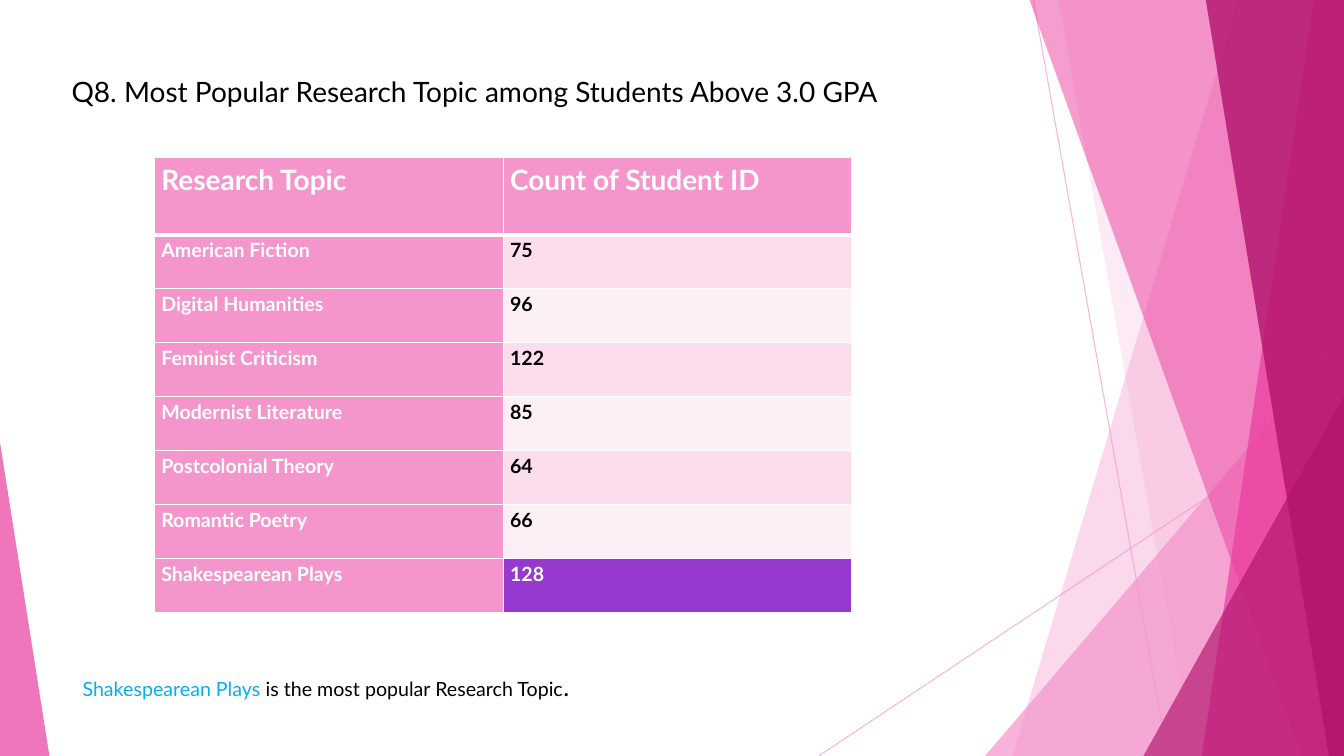
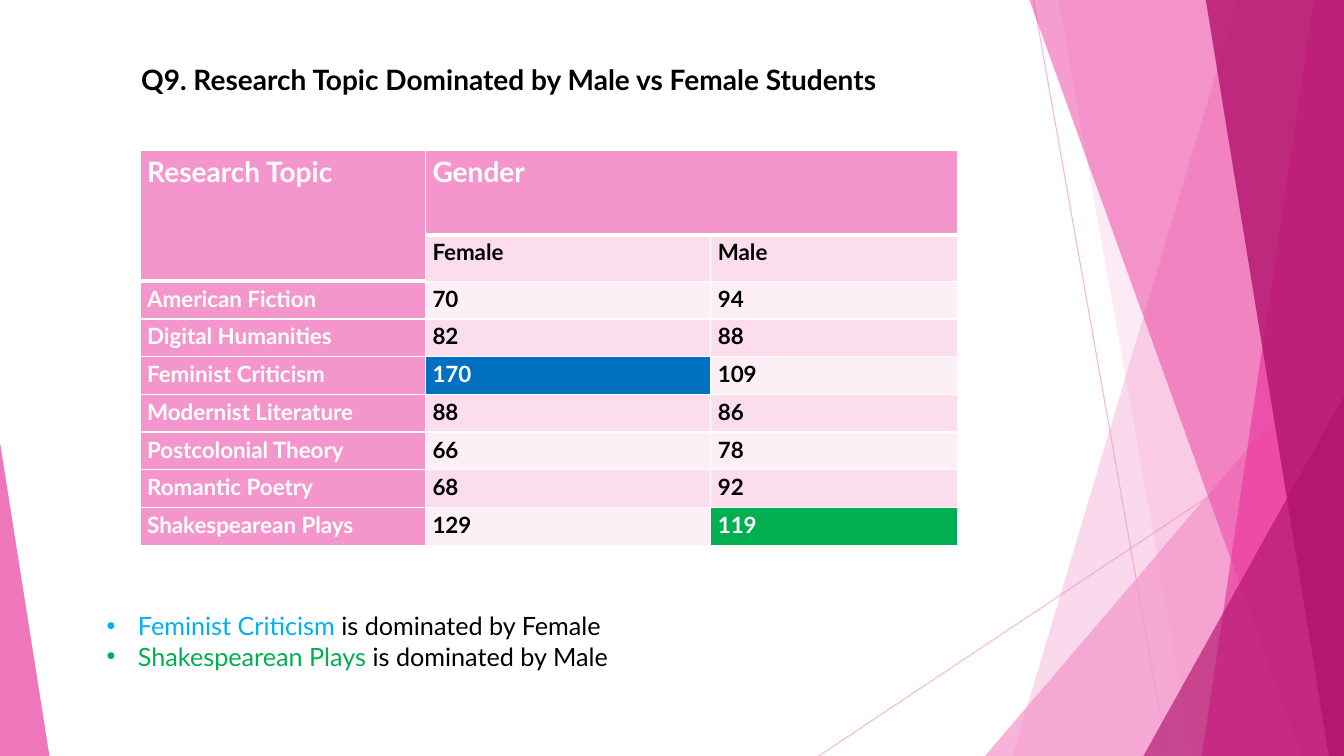
from dataclasses import dataclass

from lxml.etree import SubElement
from pptx import Presentation
from pptx.dml.color import RGBColor
from pptx.enum.shapes import MSO_CONNECTOR, MSO_SHAPE
from pptx.enum.text import MSO_ANCHOR, MSO_AUTO_SIZE, PP_ALIGN
from pptx.oxml import parse_xml
from pptx.oxml.ns import nsdecls, qn
from pptx.util import Inches, Pt


@dataclass(frozen=True)
class Theme:
    """Colours, font and type sizes shared by the slides."""
    font: str = "Lato"
    black: str = "000000"
    white: str = "FFFFFF"
    pink: str = "F496CB"
    rose: str = "EB3D9F"
    berry: str = "B2136D"
    band_dark: str = "FBDDEC"
    band_light: str = "FDEFF6"
    purple: str = "9739CF"
    blue: str = "0070C0"
    green: str = "00B050"
    sky: str = "00B0F0"
    heading: int = 20
    large: int = 18
    medium: int = 16
    small: int = 14


THEME = Theme()
WIDTH, HEIGHT = 13.33, 7.5
TOPICS = ("American Fiction", "Digital Humanities", "Feminist Criticism", "Modernist Literature",
          "Postcolonial Theory", "Romantic Poetry", "Shakespearean Plays")


def format_run(run, size, color, bold=False):
    """Apply the deck font with a size, colour and weight."""
    run.font.name = THEME.font
    run.font.size = Pt(size)
    run.font.bold = bold
    run.font.color.rgb = RGBColor.from_string(color)


def set_opacity(fill_parent, percent):
    """Give the solid colour inside an element an opacity."""
    color = next(fill_parent.iter(qn("a:srgbClr")))
    SubElement(color, qn("a:alpha"), val=str(percent * 1000))


def paint_facet(facet, color, opacity):
    """Fill a facet with a translucent colour and no outline or shadow."""
    facet.shadow.inherit = False
    facet.fill.solid()
    facet.fill.fore_color.rgb = RGBColor.from_string(color)
    facet.line.fill.background()
    set_opacity(facet.element.spPr, opacity)


def add_beam(shapes, top_left, top_right, bottom_right, bottom_left):
    """Draw a four-sided beam running the full slide height."""
    builder = shapes.build_freeform(Inches(top_left), 0)
    corners = ((top_right, 0), (bottom_right, HEIGHT), (bottom_left, HEIGHT))
    builder.add_line_segments([(Inches(x), Inches(y)) for x, y in corners])
    return builder.convert_to_shape()


def add_corner(shapes, left, top, width, apex):
    """Draw a right triangle standing on the slide's bottom edge."""
    corner = shapes.add_shape(MSO_SHAPE.ISOSCELES_TRIANGLE, Inches(left), Inches(top),
                              Inches(width), Inches(HEIGHT - top))
    corner.adjustments[0] = apex
    return corner


def add_ray(shapes, *ends):
    """Draw a thin translucent line between two points."""
    ray = shapes.add_connector(MSO_CONNECTOR.STRAIGHT, *map(Inches, ends))
    ray.line.color.rgb = RGBColor.from_string(THEME.pink)
    ray.line.width = Pt(0.75)
    set_opacity(ray.element.spPr, 70)
    SubElement(ray.element.spPr, qn("a:effectLst"))


def add_facets(shapes):
    """Draw the faceted side decoration from back to front."""
    add_ray(shapes, 10.25, 0, 11.58, HEIGHT)
    add_ray(shapes, WIDTH, 4.03, 8.12, HEIGHT)
    facets = (
        (add_beam, (12.28, WIDTH, WIDTH, 10.04), THEME.pink, 36),
        (add_beam, (10.5, WIDTH, WIDTH, 11.83), THEME.pink, 20),
        (add_corner, (9.77, 3.33, 3.56, 1), THEME.pink, 72),
        (add_beam, (10.21, WIDTH, WIDTH, 12.91), THEME.rose, 50),
        (add_beam, (13.03, WIDTH, WIDTH, 11.92), THEME.rose, 70),
        (add_beam, (11.96, WIDTH, WIDTH, 13.18), THEME.berry, 80),
        (add_corner, (11.34, 3.93, 1.99, 1), THEME.berry, 66),
        (add_corner, (0, 4.39, 0.49, 0), THEME.rose, 70),
    )
    for draw, geometry, color, opacity in facets:
        paint_facet(draw(shapes, *geometry), color, opacity)


def move_facets_to_layout(slide):
    """Draw the decoration once and let the slide's layout hold it."""
    layout = slide.slide_layout
    for placeholder in list(layout.placeholders)[1:]:
        placeholder.element.getparent().remove(placeholder.element)
    add_facets(slide.shapes)
    for facet in list(slide.shapes):
        if not facet.is_placeholder:
            layout.shapes.element.append(facet.element)


def place_title(slide, box, text, bold=False):
    """Move and format the title placeholder."""
    title = slide.shapes.title
    title.left, title.top, title.width, title.height = map(Inches, box)
    frame = title.text_frame
    frame.text = text
    frame.word_wrap = True
    frame.auto_size = MSO_AUTO_SIZE.NONE
    frame.vertical_anchor = MSO_ANCHOR.TOP
    frame.paragraphs[0].alignment = PP_ALIGN.LEFT
    format_run(frame.paragraphs[0].runs[0], THEME.heading, THEME.black, bold)


def set_borders(cell, top, bottom):
    """Give a cell white borders with its own top and bottom weights."""
    properties = cell._tc.get_or_add_tcPr()
    for index, (side, weight) in enumerate((("L", 1), ("R", 1), ("T", top), ("B", bottom))):
        properties.insert(index, parse_xml(
            f'<a:ln{side} {nsdecls("a")} w="{Pt(weight)}"><a:solidFill>'
            f'<a:srgbClr val="{THEME.white}"/></a:solidFill></a:ln{side}>'))


def format_cell(cell, text, fill, color, size):
    """Set the text and fill of one table cell."""
    cell.text = text
    cell.margin_left = cell.margin_right = Inches(0.07)
    cell.margin_top = cell.margin_bottom = 0
    cell.fill.solid()
    cell.fill.fore_color.rgb = RGBColor.from_string(fill)
    paragraph = cell.text_frame.paragraphs[0]
    paragraph.line_spacing = 1.15
    for run in paragraph.runs:
        format_run(run, size, color, bold=True)


def add_topic_table(slide, box, rows, widths, header_heights, header_depths, size, highlights,
                    merges=()):
    """Draw a topic table whose body rows share the height left by its header."""
    left, top, width, height = map(Inches, box)
    table = slide.shapes.add_table(len(rows), len(widths), left, top, width, height).table
    table.first_row = table.horz_banding = False
    for column, column_width in zip(table.columns, widths):
        column.width = Inches(column_width)
    body_height = (box[3] - sum(header_heights)) / len(TOPICS)
    heights = list(header_heights) + [body_height] * len(TOPICS)
    for r, (row, row_height) in enumerate(zip(rows, heights)):
        table.rows[r].height = Inches(row_height)
        for c, text in enumerate(row):
            depth = header_depths[c]
            band = THEME.band_dark if r % 2 else THEME.band_light
            accent = THEME.pink if r < depth or c == 0 else highlights.get((r, c))
            cell = table.cell(r, c)
            format_cell(cell, text, accent or band, THEME.white if accent else THEME.black,
                        THEME.heading if r < depth else size)
            set_borders(cell, 3 if r == depth else 1, 3 if r == depth - 1 else 1)
    for first, last in merges:
        table.cell(*first).merge(table.cell(*last))


def add_findings(slide, box, findings, bulleted=False):
    """Write one paragraph per finding, each a list of (text, size, colour) runs."""
    frame = slide.shapes.add_textbox(*map(Inches, box)).text_frame
    frame.word_wrap = True
    for index, pieces in enumerate(findings):
        paragraph = frame.add_paragraph() if index else frame.paragraphs[0]
        for text, size, color in pieces:
            run = paragraph.add_run()
            run.text = text
            format_run(run, size, color)
        if bulleted:
            properties = paragraph._p.get_or_add_pPr()
            properties.set("marL", str(Inches(0.31)))
            properties.set("indent", str(-Inches(0.31)))
            SubElement(properties, qn("a:buFont"), typeface="Arial")
            SubElement(properties, qn("a:buChar"), char="•")


def build_popularity_slide(slide):
    """Fill the slide on the most popular research topic."""
    place_title(slide, (0.61, 0.69, 8.56, 0.44),
                "Q8. Most Popular Research Topic among Students Above 3.0 GPA")
    counts = ("75", "96", "122", "85", "64", "66", "128")
    add_topic_table(slide, (1.53, 1.56, 6.92, 4.52),
                    [("Research Topic", "Count of Student ID"), *zip(TOPICS, counts)],
                    widths=(3.46, 3.46), header_heights=(0.77,), header_depths=(1, 1),
                    size=THEME.small, highlights={(7, 1): THEME.purple})
    add_findings(slide, (0.72, 6.61, 6.78, 0.4), [[
        ("Shakespearean Plays ", THEME.small, THEME.sky),
        ("is the most popular Research Topic", THEME.small, THEME.black),
        (".", THEME.large, THEME.black)]])


def build_gender_slide(slide):
    """Fill the slide comparing topics by gender."""
    place_title(slide, (1.3, 0.57, 8.25, 0.44),
                "Q9. Research Topic Dominated by Male vs Female Students", bold=True)
    female = ("70", "82", "170", "88", "66", "68", "129")
    male = ("94", "88", "109", "86", "78", "92", "119")
    add_topic_table(slide, (1.39, 1.49, 8.11, 3.92),
                    [("Research Topic", "Gender", ""), ("", "Female", "Male"),
                     *zip(TOPICS, female, male)],
                    widths=(2.83, 2.83, 2.45), header_heights=(0.84, 0.46),
                    header_depths=(2, 1, 1), size=THEME.medium,
                    highlights={(4, 1): THEME.blue, (8, 2): THEME.green},
                    merges=(((0, 0), (1, 0)), ((0, 1), (0, 2))))
    leaders = (("Feminist Criticism ", "Female", THEME.sky),
               ("Shakespearean Plays ", "Male", THEME.green))
    add_findings(slide, (0.96, 6.01, 7.95, 0.71),
                 [[(topic, THEME.large, color),
                   (f"is dominated by {gender}", THEME.large, THEME.black)]
                  for topic, gender, color in leaders], bulleted=True)


def main():
    """Build and save the presentation."""
    deck = Presentation()
    deck.slide_width, deck.slide_height = Inches(WIDTH), Inches(HEIGHT)
    title_only = deck.slide_layouts[5]
    popularity, gender = (deck.slides.add_slide(title_only) for _ in range(2))
    move_facets_to_layout(popularity)
    build_popularity_slide(popularity)
    build_gender_slide(gender)
    deck.save("out.pptx")


if __name__ == "__main__":
    main()
